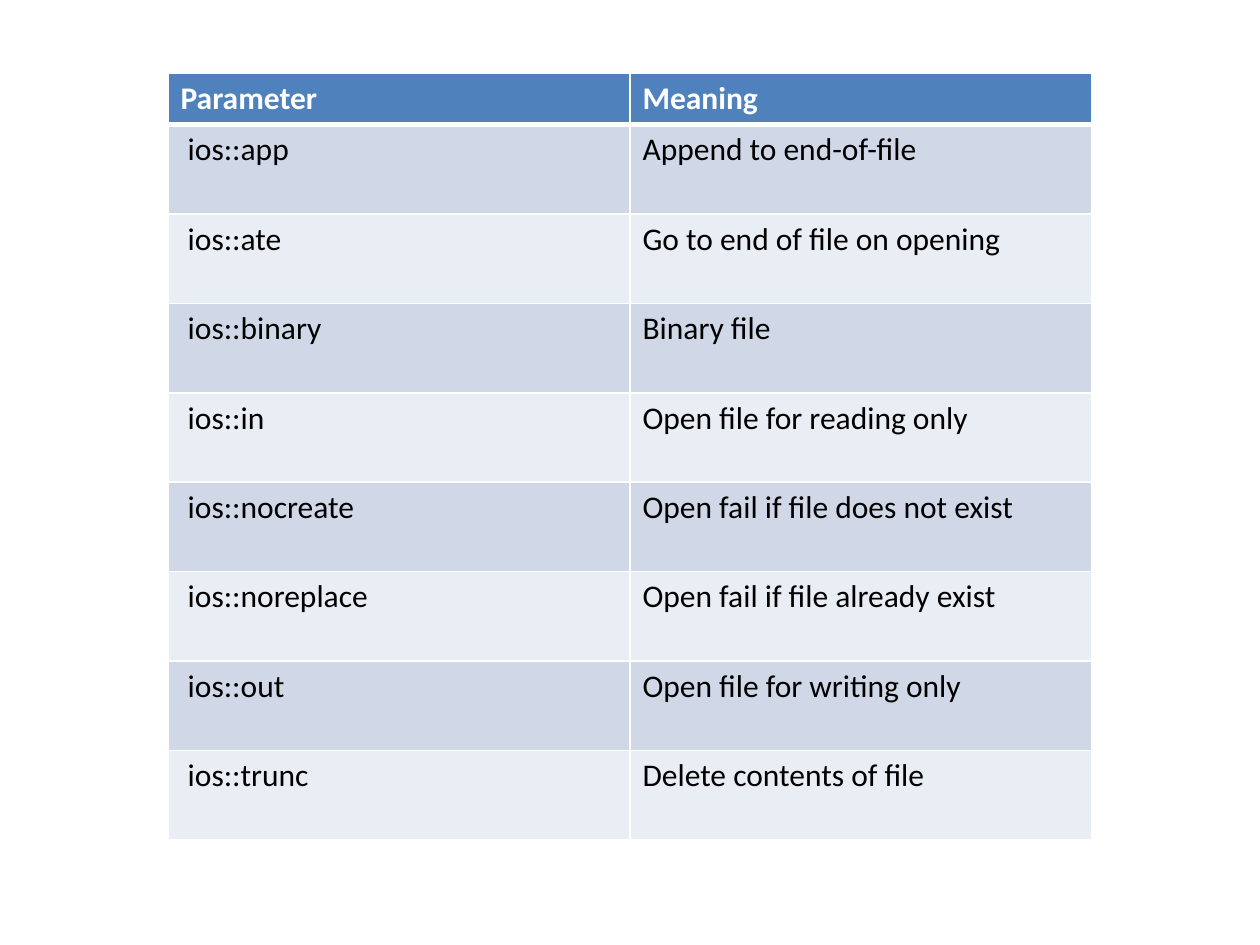
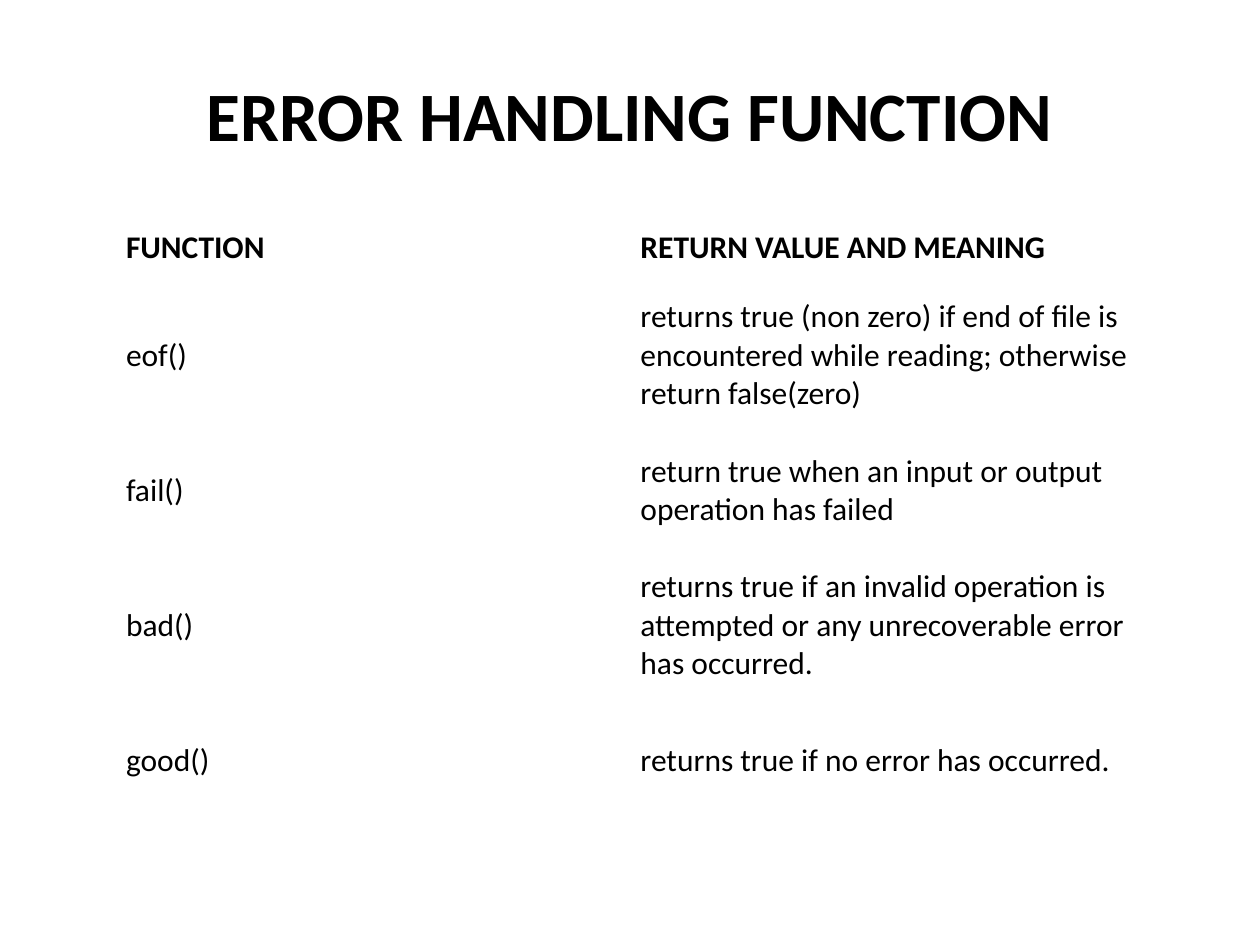
from lxml import etree
from pptx import Presentation
from pptx.dml.color import RGBColor as RGB
from pptx.enum.text import MSO_ANCHOR as ANCHOR, PP_ALIGN as ALIGN
from pptx.oxml.ns import qn
from pptx.util import Pt

FONT = "Calibri"
BODY_SIZE = 18
BLACK = RGB(0x00, 0x00, 0x00)
WHITE = RGB(0xFF, 0xFF, 0xFF)
HEADER_BLUE = RGB(0x4F, 0x81, 0xBD)
BANDS = (RGB(0xD0, 0xD8, 0xE8), RGB(0xE9, 0xED, 0xF4))
NO_STYLE = "{2D5ABB26-0587-4C30-8999-92F81FD0307C}"
TITLE_ONLY, BLANK = 5, 6

FILE_MODES = [
    ("Parameter", "Meaning"),
    (" ios::app", "Append to end-of-file"),
    (" ios::ate", "Go to end of file on opening"),
    (" ios::binary", "Binary file"),
    (" ios::in", "Open file for reading only"),
    (" ios::nocreate", "Open fail if file does not exist"),
    (" ios::noreplace", "Open fail if file already exist"),
    (" ios::out", "Open file for writing only"),
    (" ios::trunc", "Delete contents of file"),
]
ERROR_FUNCTIONS = [
    ("FUNCTION", "RETURN VALUE AND MEANING"),
    ("eof()", "returns true (non zero) if end of file is encountered "
              "while reading; otherwise return false(zero)"),
    ("fail()", "return true when an input or output operation has failed"),
    ("bad()", "returns true if an invalid operation is attempted "
              "or any unrecoverable error has occurred."),
    ("good()", "returns true if no error has occurred."),
]


def add_run(p, text, size, color, bold=False):
    """Add one formatted run to a paragraph."""
    r = p.add_run()
    r.text = text
    r.font.name, r.font.size, r.font.bold = FONT, Pt(size), bold
    r.font.color.rgb = color


def set_borders(cell, **widths):
    """Give a cell solid white borders; widths are in points by side."""
    tc_pr = cell._tc.get_or_add_tcPr()
    for i, side in enumerate("LRTB"):
        ln = etree.Element(qn(f"a:ln{side}"), w=str(Pt(widths.get(side, 1))))
        fill = etree.SubElement(ln, qn("a:solidFill"))
        etree.SubElement(fill, qn("a:srgbClr"), val=str(WHITE))
        tc_pr.insert(i, ln)


def add_text_table(slide, box, rows, heights, header_color):
    """Add an unstyled table with equal columns and a bold header row."""
    left, top, width = box
    columns = len(rows[0])
    table = slide.shapes.add_table(len(rows), columns, Pt(left), Pt(top),
                                   Pt(width), Pt(sum(heights))).table
    table._tbl.tblPr.find(qn("a:tableStyleId")).text = NO_STYLE
    table.horz_banding = False
    for column in table.columns:
        column.width = Pt(width / columns)
    for i, (texts, height) in enumerate(zip(rows, heights)):
        table.rows[i].height = Pt(height)
        for j, text in enumerate(texts):
            add_run(table.cell(i, j).text_frame.paragraphs[0], text, BODY_SIZE,
                    BLACK if i else header_color, bold=i == 0)
    return table


def add_banded_table(slide, box, rows):
    """Add a table with a blue header, banded rows and white rules."""
    heights = [29.2] + [51.1] * (len(rows) - 1)
    table = add_text_table(slide, box, rows, heights, WHITE)
    for i, row in enumerate(table.rows):
        for cell in row.cells:
            cell.fill.solid()
            cell.fill.fore_color.rgb = BANDS[(i - 1) % 2] if i else HEADER_BLUE
            set_borders(cell, T=3 if i == 1 else 1, B=1 if i else 3)


def add_plain_table(slide, box, rows, units, unit_height):
    """Add a table without fills, rules or insets; row heights in units."""
    heights = [n * unit_height for n in units]
    table = add_text_table(slide, box, rows, heights, BLACK)
    for cell in table.iter_cells():
        cell.fill.background()
        cell.vertical_anchor = ANCHOR.MIDDLE
        cell.margin_left = cell.margin_right = 0
        cell.margin_top = cell.margin_bottom = 0


def set_title(slide, box, text):
    """Place the title, set in the upper half of its box."""
    sp = slide.shapes.title
    sp.left, sp.top, sp.width, sp.height = map(Pt, box)
    tf = sp.text_frame
    tf.word_wrap = True
    tf.vertical_anchor = ANCHOR.MIDDLE
    tf.margin_bottom = Pt(48)
    p = tf.paragraphs[0]
    p.alignment = ALIGN.CENTER
    add_run(p, text, 39.6, BLACK, bold=True)


prs = Presentation()
prs.slide_width, prs.slide_height = Pt(720), Pt(540)

s = prs.slides.add_slide(prs.slide_layouts[BLANK])
add_banded_table(s, (96, 42, 528), FILE_MODES)

s = prs.slides.add_slide(prs.slide_layouts[TITLE_ONLY])
set_title(s, (36, 42, 648, 90), "ERROR HANDLING FUNCTION")
add_plain_table(s, (72, 126, 588), ERROR_FUNCTIONS, (1, 3, 2, 3, 2), 30.86)

prs.save("out.pptx")
